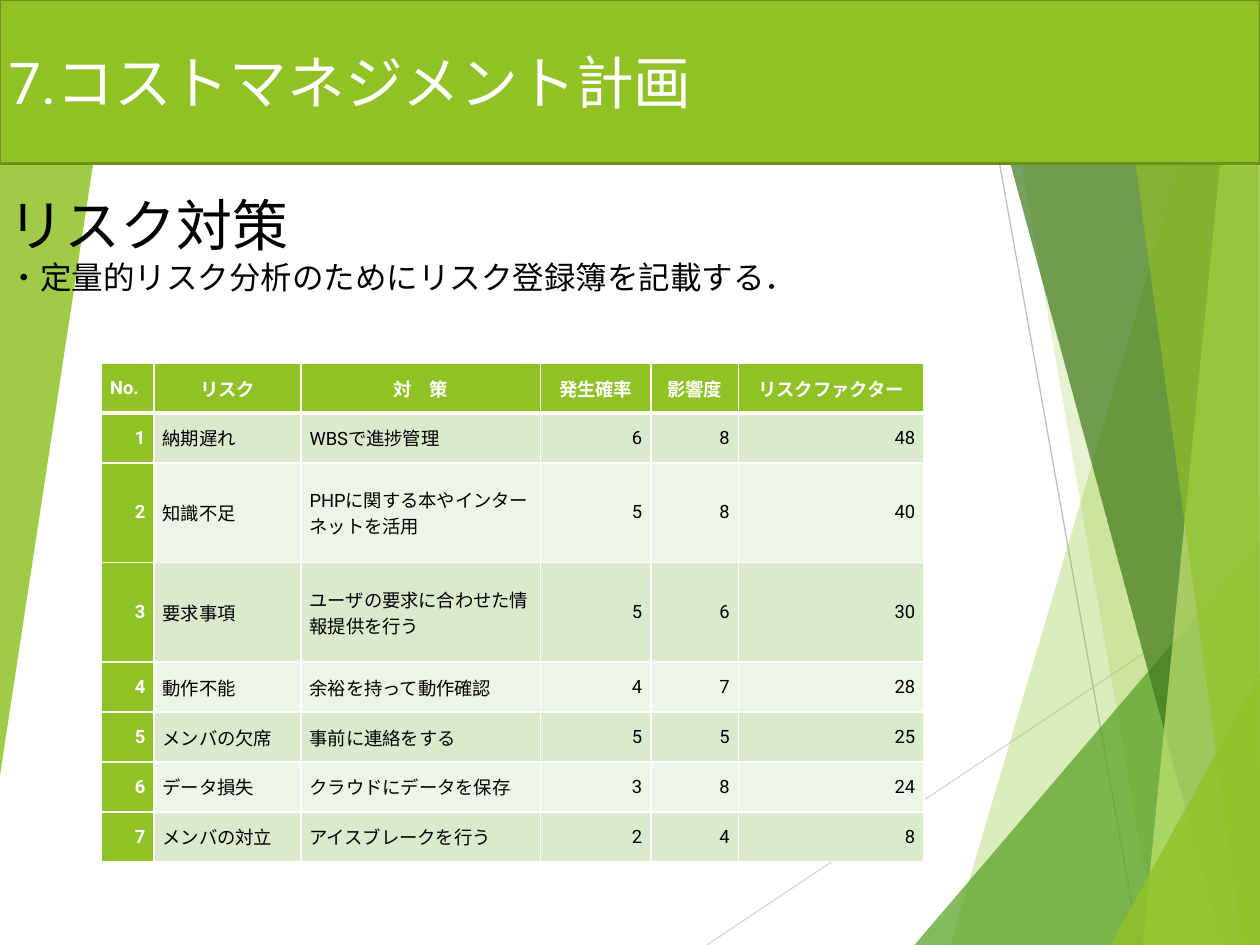
"""Builds the risk countermeasure slide of a cost management plan."""
from lxml.etree import SubElement
from pptx import Presentation
from pptx.dml.color import RGBColor
from pptx.enum.shapes import MSO_CONNECTOR
from pptx.enum.text import MSO_ANCHOR, MSO_AUTO_SIZE, PP_ALIGN
from pptx.oxml import parse_xml
from pptx.oxml.ns import nsdecls, qn
from pptx.util import Pt

COLORS = {
    "lime": "90C226", "green": "54A021", "forest": "3F7819", "pale": "C0E474",
    "edge": "6B901C", "band": "DBE9CD", "light": "EEF4E8",
    "gray": "BFBFBF", "silver": "D9D9D9", "white": "FFFFFF", "black": "000000",
}
RAYS = [("silver", (404, 540), (720, 329)), ("gray", (554.5, 0), (651, 540))]
FACETS = [
    ("lime", 30, [(702, 0), (543, 540), (720, 540), (720, 0)]),
    ("lime", 20, [(567.5, 0), (661.5, 540), (720, 540), (720, 0)]),
    ("green", 72, [(522.5, 540), (720, 309), (720, 540)]),
    ("forest", 70, [(552, 0), (698.5, 540), (720, 540), (720, 0)]),
    ("pale", 70, [(706.5, 0), (653, 540), (720, 540), (720, 0)]),
    ("lime", 65, [(636, 0), (710, 540), (720, 540), (718.5, 0)]),
    ("lime", 80, [(634.5, 540), (720, 385), (720, 540)]),
    ("lime", 85, [(0, 0), (67.5, 0), (0, 443)]),
]
HEADER = ["No.", "リスク", "対　策", "発生確率", "影響度", "リスクファクター"]
RISKS = [
    ("納期遅れ", "WBSで進捗管理", 6, 8, 48),
    ("知識不足", "PHPに関する本やインターネットを活用", 5, 8, 40),
    ("要求事項", "ユーザの要求に合わせた情報提供を行う", 5, 6, 30),
    ("動作不能", "余裕を持って動作確認", 4, 7, 28),
    ("メンバの欠席", "事前に連絡をする", 5, 5, 25),
    ("データ損失", "クラウドにデータを保存", 3, 8, 24),
    ("メンバの対立", "アイスブレークを行う", 2, 4, 8),
]
COL_WIDTHS = [30, 84, 137, 63, 50, 106]
ROW_HEIGHT = 28.5
TALL_ROWS = (2, 3)


class Deck:
    """Holds the style and the current slide."""

    font = "Roboto"
    inset = 5

    def __init__(self):
        self.prs = Presentation()
        self.prs.slide_width, self.prs.slide_height = Pt(720), Pt(540)
        self.s = self.prs.slides.add_slide(self.prs.slide_layouts[1])

    def rgb(self, name):
        return RGBColor.from_string(COLORS[name])

    def fill(self, obj, color):
        obj.fill.solid()
        obj.fill.fore_color.rgb = self.rgb(color)

    def format(self, p, size, color, align=PP_ALIGN.LEFT, bold=False):
        p.alignment = align
        for r in p.runs:
            r.font.name, r.font.size, r.font.bold = self.font, Pt(size), bold
            r.font.color.rgb = self.rgb(color)

    def ray(self, color, start, end):
        sp = self.s.shapes.add_connector(
            MSO_CONNECTOR.STRAIGHT, *(Pt(v) for v in start + end))
        sp.line.color.rgb, sp.line.width = self.rgb(color), Pt(0.75)
        SubElement(sp.element.spPr, qn("a:effectLst"))

    def facet(self, color, opacity, points):
        start, *rest = [(Pt(x), Pt(y)) for x, y in points]
        builder = self.s.shapes.build_freeform(*start)
        builder.add_line_segments(rest)
        sp = builder.convert_to_shape()
        sp.shadow.inherit = False
        self.fill(sp, color)
        sp.line.fill.background()
        clr = sp.element.spPr.find(".//" + qn("a:srgbClr"))
        SubElement(clr, qn("a:alpha")).set("val", str(opacity * 1000))

    def place(self, sp, left, top, width, height, anchor):
        sp.left, sp.top, sp.width, sp.height = map(Pt, (left, top, width, height))
        sp.element.getparent().append(sp.element)
        tf = sp.text_frame
        tf.auto_size, tf.vertical_anchor = MSO_AUTO_SIZE.NONE, anchor
        tf.margin_left = tf.margin_right = Pt(self.inset)
        tf.margin_top = tf.margin_bottom = Pt(3)
        return tf

    def title(self, text):
        sp = self.s.shapes.title
        tf = self.place(sp, 0, 0, 720, 93.5, MSO_ANCHOR.MIDDLE)
        tf.text = text
        self.format(tf.paragraphs[0], 33, "white")
        self.fill(sp, "lime")
        sp.line.color.rgb, sp.line.width = self.rgb("edge"), Pt(1.5)

    def body(self, lines):
        tf = self.place(self.s.placeholders[1], 0, 106, 469, 111, MSO_ANCHOR.TOP)
        tf.word_wrap = False
        tf.text = "\n".join(text for text, size in lines)
        for p, (text, size) in zip(tf.paragraphs, lines):
            self.format(p, size, "black")
            p.space_before = Pt(0)
            pPr = p._p.get_or_add_pPr()
            pPr.set("marL", "0")
            pPr.set("indent", "0")
            SubElement(pPr, qn("a:buNone"))

    def borders(self, cell, bottom):
        tcPr = cell._tc.get_or_add_tcPr()
        for i, (side, width) in enumerate(zip("LRTB", (1, 1, 1, bottom))):
            tcPr.insert(i, parse_xml(
                f'<a:ln{side} {nsdecls("a")} w="{Pt(width)}"><a:solidFill>'
                f'<a:srgbClr val="{COLORS["white"]}"/></a:solidFill></a:ln{side}>'))

    def cell(self, cell, text, fill, color, align, bold, bottom):
        cell.text = str(text)
        cell.vertical_anchor = MSO_ANCHOR.MIDDLE
        cell.margin_left = cell.margin_right = Pt(self.inset)
        cell.margin_top = cell.margin_bottom = 0
        self.format(cell.text_frame.paragraphs[0], 10.5, color, align, bold)
        self.fill(cell, fill)
        self.borders(cell, bottom)

    def table(self, left, top, header, records):
        rows = [header] + [(n, *rec) for n, rec in enumerate(records, 1)]
        heights = [ROW_HEIGHT * (2 if i in TALL_ROWS else 1) for i in range(len(rows))]
        table = self.s.shapes.add_table(
            len(rows), len(header), Pt(left), Pt(top),
            Pt(sum(COL_WIDTHS)), Pt(sum(heights))).table
        for col, width in zip(table.columns, COL_WIDTHS):
            col.width = Pt(width)
        for i, (row, height) in enumerate(zip(rows, heights)):
            table.rows[i].height = Pt(height)
            for j, value in enumerate(row):
                head = i == 0 or j == 0
                if isinstance(value, int):
                    align = PP_ALIGN.RIGHT
                else:
                    align = PP_ALIGN.CENTER if i == 0 and j else PP_ALIGN.LEFT
                fill = "lime" if head else "band" if i % 2 else "light"
                self.cell(table.cell(i, j), value, fill,
                          "white" if head else "black", align, head,
                          3 if i == 0 else 1)


def main():
    deck = Deck()
    for ray in RAYS:
        deck.ray(*ray)
    for facet in FACETS:
        deck.facet(*facet)
    deck.title("7.コストマネジメント計画")
    deck.body([("リスク対策", 32),
               ("・定量的リスク分析のためにリスク登録簿を記載する．", 18)])
    deck.table(58, 207.5, HEADER, RISKS)
    deck.prs.save("out.pptx")


if __name__ == "__main__":
    main()
